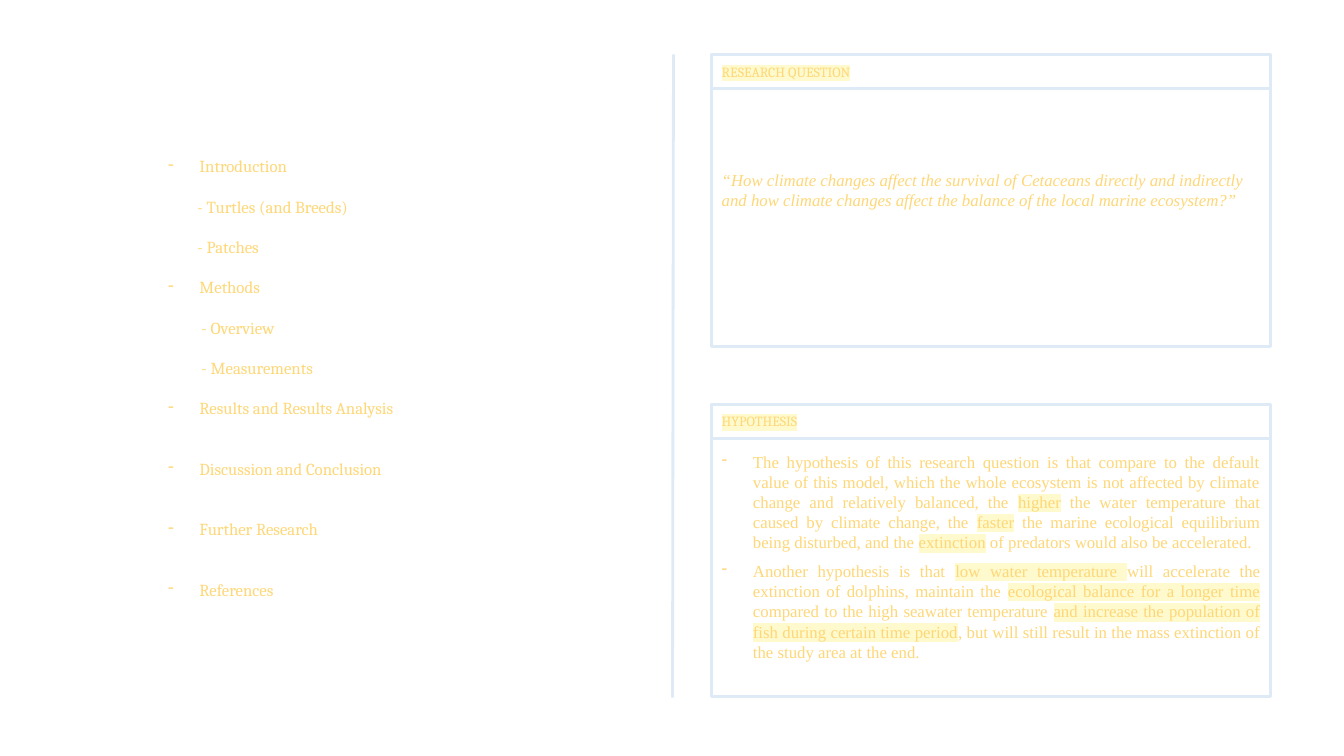
from dataclasses import dataclass

from lxml.etree import SubElement
from pptx import Presentation
from pptx.dml.color import RGBColor as Rgb
from pptx.enum.shapes import MSO_CONNECTOR as Link, MSO_SHAPE as Kind
from pptx.enum.text import MSO_ANCHOR as Anchor, MSO_AUTO_SIZE as Fit, PP_ALIGN as Align
from pptx.oxml.ns import qn
from pptx.shapes.autoshape import Shape
from pptx.slide import Slide
from pptx.text.text import TextFrame
from pptx.util import Inches, Pt

WIDE, HIGH = Inches(13.33), Inches(7.5)
HUES = {"gold": "FED777", "rule": "DEEBF7", "mark": "FFFACD"}
HANG = 0.31  # inches
LINE = 14.4  # points, one line of the outline


@dataclass
class Box:
    """Place and size, in percent of the slide."""
    left: float
    top: float
    width: float
    height: float

    def emu(self) -> tuple[int, int, int, int]:
        return (across(self.left), down(self.top),
                across(self.width), down(self.height))


@dataclass
class Para:
    """A paragraph; every second part between bars is highlighted."""
    text: str
    font: str = "Cambria"
    size: int = 12
    bullet: bool = False
    indent: float = 0
    before: float = 0
    after: float = 0
    align: Align = Align.LEFT
    italic: bool = False


@dataclass
class Panel:
    title: str
    top: float
    body: Box
    paras: list[Para]


def across(share: float) -> int:
    return round(WIDE * share / 100)


def down(share: float) -> int:
    return round(HIGH * share / 100)


def color(name: str) -> Rgb:
    return Rgb.from_string(HUES[name])


def write(frame: TextFrame, paras: list[Para]) -> None:
    frame.word_wrap = True
    for i, para in enumerate(paras):
        item = frame.paragraphs[0] if i == 0 else frame.add_paragraph()
        props = item._p.get_or_add_pPr()
        indent = HANG if para.bullet else para.indent
        if indent:
            props.set("marL", str(Inches(indent)))
        if para.bullet:
            props.set("indent", str(-Inches(HANG)))
            SubElement(props, qn("a:buChar"), char="-")
        item.alignment = para.align
        item.space_before, item.space_after = Pt(para.before), Pt(para.after)
        font = item.font
        font.name, font.size, font.italic = para.font, Pt(para.size), para.italic
        font.color.rgb = color("gold")
        for k, part in enumerate(para.text.split("|")):
            if not part:
                continue
            run = item.add_run()
            run.text = part
            if k % 2:
                mark = SubElement(run._r.get_or_add_rPr(), qn("a:highlight"))
                SubElement(mark, qn("a:srgbClr"), val=HUES["mark"])


def add_text(slide: Slide, box: Box, paras: list[Para]) -> None:
    frame = slide.shapes.add_textbox(*box.emu()).text_frame
    write(frame, paras)
    frame.auto_size = Fit.SHAPE_TO_FIT_TEXT


def add_frame(slide: Slide, box: Box) -> Shape:
    shape = slide.shapes.add_shape(Kind.RECTANGLE, *box.emu())
    shape.shadow.inherit = False
    shape.fill.background()
    shape.line.color.rgb = color("rule")
    shape.line.width = Pt(2)
    return shape


def add_panel(slide: Slide, panel: Panel) -> None:
    add_frame(slide, Box(LEFT, panel.top, WIDTH, 38.67))
    head = add_frame(slide, Box(LEFT, panel.top, WIDTH, 4.53)).text_frame
    head.vertical_anchor = Anchor.MIDDLE
    write(head, [Para(f"|{panel.title}|", size=10)])
    add_text(slide, panel.body, panel.paras)


def add_rule(slide: Slide) -> None:
    rule = slide.shapes.add_connector(
        Link.STRAIGHT, across(50.11), down(7.2), across(50.04), down(92.27))
    rule.line.color.rgb = color("rule")
    rule.line.width = Pt(2)
    SubElement(rule._element.spPr, qn("a:effectLst"))


def topic(text: str, lines: int = 1) -> Para:
    """A bulleted outline entry with blank lines' worth of space above."""
    return Para(text, bullet=True, before=lines * LINE)


def sub(text: str, indent: float) -> Para:
    return Para(f"- {text}", indent=indent, before=LINE)


def claim(text: str) -> Para:
    return Para(text, SERIF, bullet=True, after=6, align=Align.JUSTIFY)


SERIF = "Times New Roman"
LEFT, WIDTH = 52.96, 41.56
OUTLINE = [
    topic("Introduction", 0),
    sub("Turtles (and Breeds)", 0.29),
    sub("Patches", 0.29),
    topic("Methods"),
    sub("Overview", 0.33),
    sub("Measurements", 0.33),
    topic("Results and Results Analysis"),
    topic("Discussion and Conclusion", 2),
    topic("Further Research", 2),
    topic("References", 2),
]
PANELS = [
    Panel("RESEARCH QUESTION", 7.2, Box(LEFT, 21.73, WIDTH, 9.47), [
        Para("“How climate changes affect the survival of Cetaceans directly and "
             "indirectly and how climate changes affect the balance of the local "
             "marine ecosystem?”", SERIF, italic=True),
    ]),
    Panel("HYPOTHESIS", 53.47, Box(LEFT, 59.07, WIDTH, 32.13), [
        claim("The hypothesis of this research question is that compare to the "
              "default value of this model, which the whole ecosystem is not "
              "affected by climate change and relatively balanced, the |higher| "
              "the water temperature that caused by climate change, the |faster| "
              "the marine ecological equilibrium being disturbed, and the "
              "|extinction| of predators would also be accelerated."),
        claim("Another hypothesis is that |low water temperature |will accelerate "
              "the extinction of dolphins, maintain the |ecological balance for a "
              "longer time| compared to the high seawater temperature |and increase "
              "the population of fish during certain time period|, but will still "
              "result in the mass extinction of the study area at the end."),
    ]),
]


def main() -> None:
    deck = Presentation()
    deck.slide_width, deck.slide_height = WIDE, HIGH
    slide = deck.slides.add_slide(deck.slide_layouts[6])
    add_text(slide, Box(11.78, 20, 33.76, 64.67), OUTLINE)
    add_rule(slide)
    for panel in PANELS:
        add_panel(slide, panel)
    deck.save("out.pptx")


if __name__ == "__main__":
    main()
